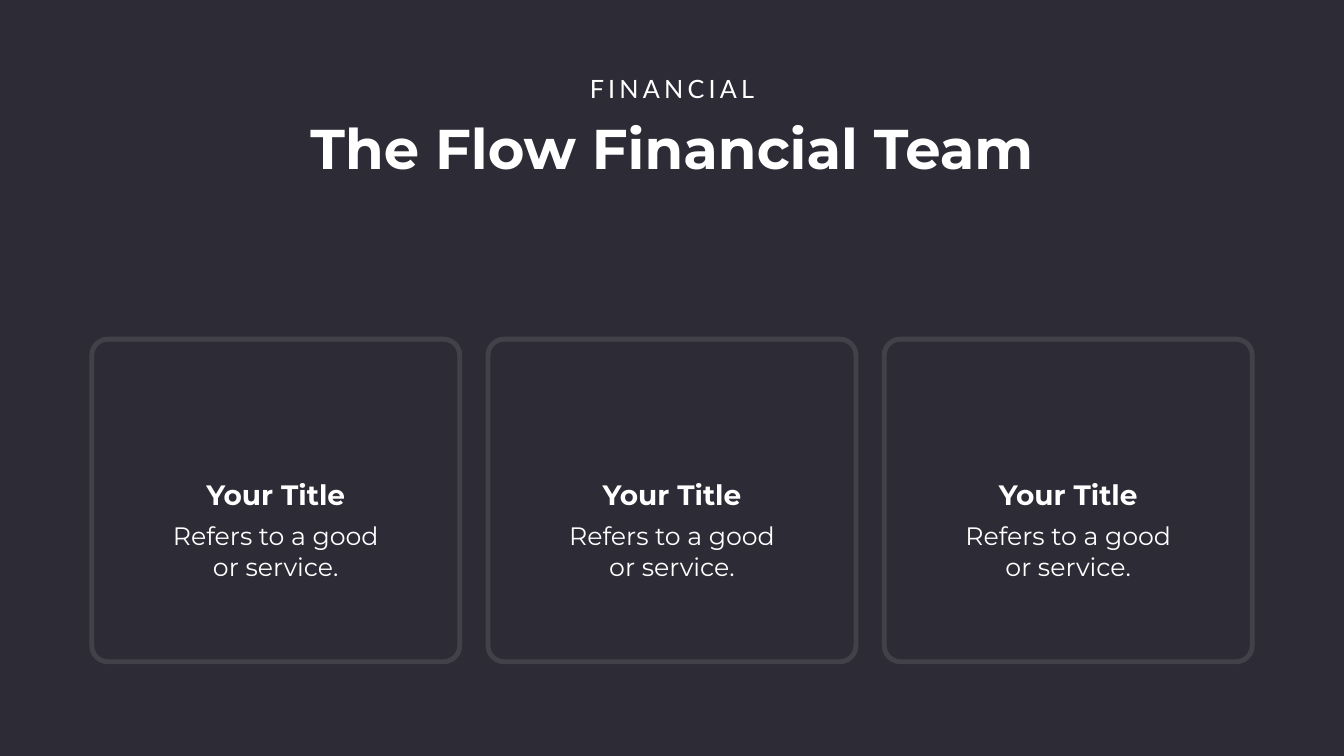
from pptx import Presentation
from pptx.dml.color import RGBColor
from pptx.enum.shapes import MSO_SHAPE
from pptx.enum.text import MSO_AUTO_SIZE, PP_ALIGN
from pptx.oxml.ns import qn
from pptx.util import Inches, Pt
from lxml.etree import SubElement

WHITE = RGBColor(0xFF, 0xFF, 0xFF)
NIGHT = RGBColor(0x2D, 0x2C, 0x36)

SLIDE_W, SLIDE_H = 26.66, 15
CENTER = SLIDE_W / 2
CARD_W, CARD_H, CARD_TOP = 7.3, 6.4, 6.73
MARGIN, PITCH = 1.82, 7.86

CARDS = [
    ("Your Title", "Refers to a good or service."),
    ("Your Title", "Refers to a good or service."),
    ("Your Title", "Refers to a good or service."),
]


def add_background(s):
    sp = s.shapes.add_shape(MSO_SHAPE.RECTANGLE, 0, 0, Inches(SLIDE_W), Inches(SLIDE_H))
    sp.shadow.inherit = False
    sp.fill.solid()
    sp.fill.fore_color.rgb = NIGHT
    sp.line.fill.background()


def add_frame(s, left):
    sp = s.shapes.add_shape(MSO_SHAPE.ROUNDED_RECTANGLE, Inches(left), Inches(CARD_TOP),
                            Inches(CARD_W), Inches(CARD_H))
    sp.adjustments[0] = 0.05
    sp.shadow.inherit = False
    sp.fill.background()
    sp.line.width = Pt(7)
    sp.line.color.rgb = WHITE
    color = sp.line._ln.find(qn("a:solidFill")).find(qn("a:srgbClr"))
    SubElement(color, qn("a:alpha")).set("val", "10000")


def add_text(s, text, center, top, width, height, size, font="Montserrat",
             bold=False, spacing=0, inset=(0.1, 0.05)):
    sp = s.shapes.add_textbox(Inches(center - width / 2), Inches(top),
                              Inches(width), Inches(height))
    tf = sp.text_frame
    tf.word_wrap = True
    tf.auto_size = MSO_AUTO_SIZE.SHAPE_TO_FIT_TEXT
    tf.margin_left = tf.margin_right = Inches(inset[0])
    tf.margin_top = tf.margin_bottom = Inches(inset[1])
    p = tf.paragraphs[0]
    p.alignment = PP_ALIGN.CENTER
    r = p.add_run()
    r.text = text
    r.font.name = font
    r.font.size = Pt(size)
    r.font.bold = bold
    r.font.color.rgb = WHITE
    if spacing:
        r.font._element.set("spc", str(spacing * 100))


def add_card(s, column, title, body):
    left = MARGIN + column * PITCH
    center = left + CARD_W / 2
    add_frame(s, left)
    add_text(s, body, center, CARD_TOP + 3.48, 4.75, 1.45, 36, inset=(0.24, 0.12))
    add_text(s, title, center, CARD_TOP + 2.7, 3.54, 0.77, 40, bold=True)


def main():
    prs = Presentation()
    prs.slide_width, prs.slide_height = Inches(SLIDE_W), Inches(SLIDE_H)
    s = prs.slides.add_slide(prs.slide_layouts[6])
    add_background(s)
    add_text(s, "The Flow Financial Team", CENTER, 2.21, 16.98, 1.45, 80, bold=True)
    add_text(s, "FINANCIAL", CENTER, 1.4, 3.68, 0.71, 36, font="Lato", spacing=6)
    for column, (title, body) in enumerate(CARDS):
        add_card(s, column, title, body)
    prs.save("out.pptx")


if __name__ == "__main__":
    main()
